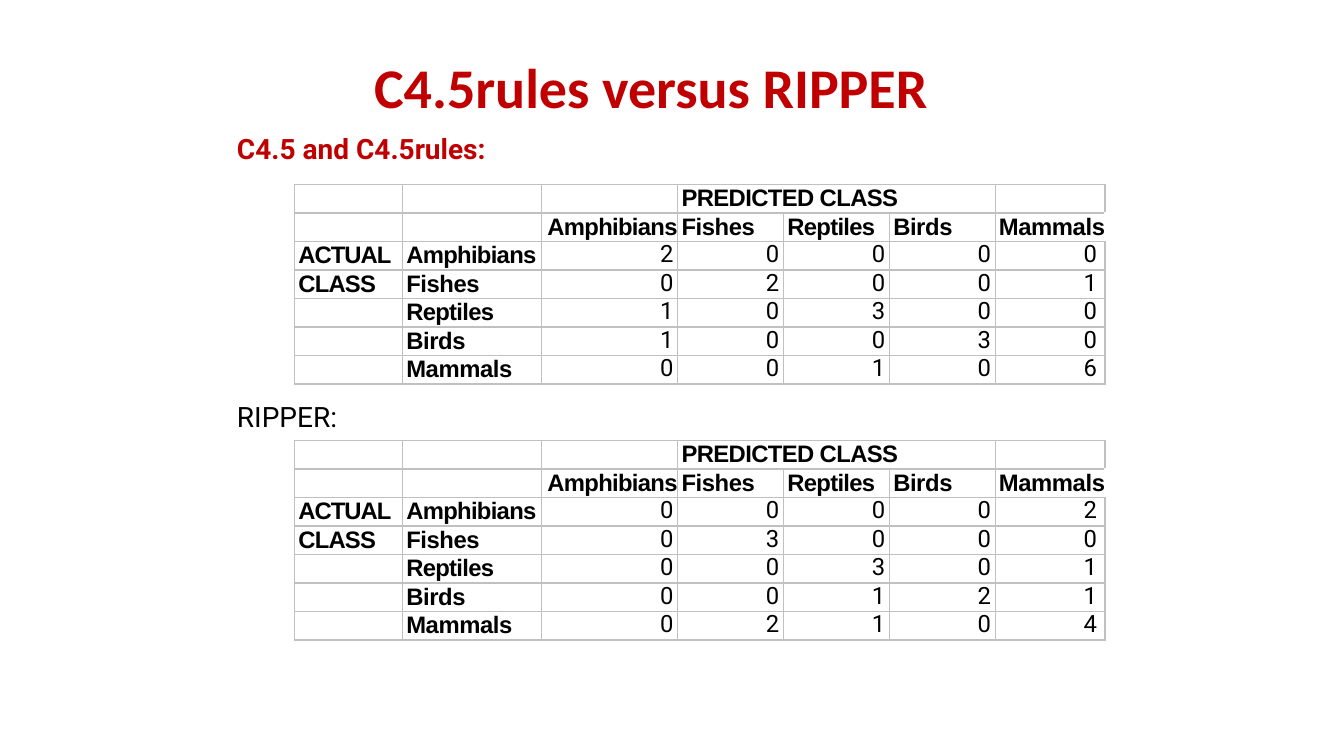
from dataclasses import dataclass

from lxml import etree
from pptx import Presentation
from pptx.dml.color import RGBColor
from pptx.enum.text import MSO_ANCHOR, MSO_AUTO_SIZE, PP_ALIGN
from pptx.oxml.ns import qn
from pptx.util import Inches, Pt

LEFT, RIGHT = PP_ALIGN.LEFT, PP_ALIGN.RIGHT
TOP = MSO_ANCHOR.TOP
FIXED = MSO_AUTO_SIZE.NONE


@dataclass
class Theme:
    red: RGBColor = RGBColor(0xC0, 0x00, 0x00)
    black: RGBColor = RGBColor(0x00, 0x00, 0x00)
    grid: str = "C0C0C0"
    title: int = 40
    label: int = 20
    cell: int = 17


theme = Theme()


def style(para, face, size, color, bold, align=LEFT):
    para.alignment = align
    font = para.font
    font.name, font.size, font.bold = face, Pt(size), bold
    font.color.rgb = color


def border(cell, sides):
    """Draw thin grid lines on the given sides, in the order L, R, T, B."""
    props = cell._tc.get_or_add_tcPr()
    for i, side in enumerate(sides):
        line = etree.Element(qn(f"a:ln{side}"), w=str(Pt(1)))
        fill = etree.SubElement(line, qn("a:solidFill"))
        etree.SubElement(fill, qn("a:srgbClr"), val=theme.grid)
        props.insert(i, line)


deck = Presentation()
deck.slide_width, deck.slide_height = Inches(13.33), Inches(7.5)
slide = deck.slides.add_slide(deck.slide_layouts[5])

# Title with the first label
title = slide.shapes.title
title.left, title.top = Inches(2.34), Inches(0.24)
title.width, title.height = Inches(7.31), Inches(1.42)
frame = title.text_frame
frame.auto_size, frame.vertical_anchor = FIXED, TOP
frame.margin_left = frame.margin_right = frame.margin_bottom = 0
frame.margin_top = Inches(0.28)
frame.text = "C4.5rules versus RIPPER\nC4.5 and C4.5rules:"
head, label = frame.paragraphs
head._p.get_or_add_pPr().set("marL", str(Inches(1.37)))
style(head, "Calibri", theme.title, theme.red, True)
label._p.get_or_add_pPr().set("marL", str(Inches(0.01)))
label.space_before = Pt(8.8)
style(label, "Roboto", theme.label, theme.red, True)

# Confusion matrices
NAMES = ["Amphibians", "Fishes", "Reptiles", "Birds", "Mammals"]
SIDES = ["ACTUAL", "CLASS", "", "", ""]
WIDTHS = [1.07, 1.38, 1.35, 1.05, 1.05, 1.05, 1.09]
TRACK = {"PREDICTED CLASS": -45, "Fishes": -30, "Birds": -30,
         "Mammals": -30, "ACTUAL": -70, "CLASS": -60}
ripper = [[0, 0, 0, 0, 2], [0, 3, 0, 0, 0], [0, 0, 3, 0, 1],
          [0, 0, 1, 2, 1], [0, 2, 1, 0, 4]]
rules = [[2, 0, 0, 0, 0], [0, 2, 0, 0, 1], [1, 0, 3, 0, 0],
         [1, 0, 0, 3, 0], [0, 0, 1, 0, 6]]

for top, counts in ((4.37, ripper), (1.83, rules)):
    rows = [["", "", "", "PREDICTED CLASS", "", "", ""], ["", ""] + NAMES]
    rows += [[side, name] + line
             for side, name, line in zip(SIDES, NAMES, counts)]
    grid = slide.shapes.add_table(len(rows), len(WIDTHS), Inches(2.92),
                                  Inches(top), Inches(8.05),
                                  Inches(1.98)).table
    grid.first_row = grid.horz_banding = False
    for col, width in zip(grid.columns, WIDTHS):
        col.width = Inches(width)
    for r, row in enumerate(rows):
        for c, value in enumerate(row):
            cell = grid.cell(r, c)
            number = isinstance(value, int)
            right = number or (r == 1 and c in (2, 6))
            cell.margin_top = cell.margin_bottom = 0
            cell.margin_left = 0 if right else Inches(0.04)
            cell.margin_right = 0
            if number:
                cell.margin_right = Inches(0.08 if c == 6 else 0.04)
            cell.fill.background()
            border(cell, "LTB" if (r, c) == (1, 6) else "LRTB")
            para = cell.text_frame.paragraphs[0]
            para.line_spacing = Pt(19.4)
            style(para, "Roboto" if number else "Arial", theme.cell,
                  theme.black, not number, RIGHT if right else LEFT)
            if value != "":
                run = para.add_run()
                run.text = str(value)
                if not number:
                    track = TRACK.get(value, -50)
                    run._r.get_or_add_rPr().set("spc", str(track))
    grid.cell(0, 3).merge(grid.cell(0, 5))

# Label of the second matrix
box = slide.shapes.add_textbox(Inches(2.34), Inches(3.95),
                               Inches(1.14), Inches(0.36))
frame = box.text_frame
frame.word_wrap = True
frame.margin_left = frame.margin_top = Inches(0.01)
frame.margin_right = frame.margin_bottom = 0
frame.text = "RIPPER:"
style(frame.paragraphs[0], "Roboto", theme.label, theme.black, False)

deck.save("out.pptx")
